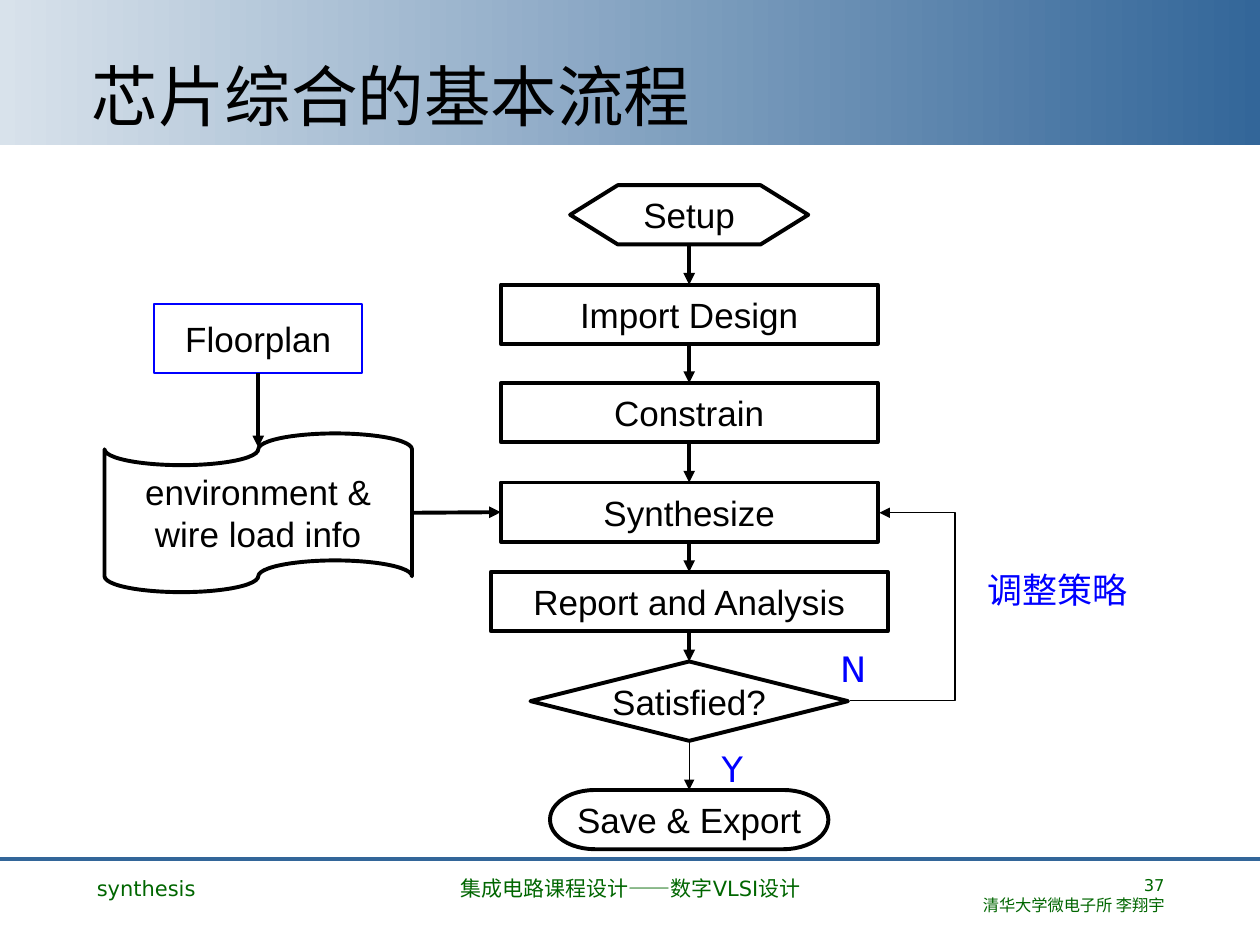
from lxml import etree
from pptx import Presentation
from pptx.dml.color import RGBColor
from pptx.enum.shapes import MSO_CONNECTOR, MSO_SHAPE
from pptx.enum.text import MSO_ANCHOR, PP_ALIGN
from pptx.oxml.ns import qn
from pptx.util import Inches, Pt

RECT = MSO_SHAPE.RECTANGLE
PROCESS = MSO_SHAPE.FLOWCHART_PROCESS
PREPARATION = MSO_SHAPE.FLOWCHART_PREPARATION
DECISION = MSO_SHAPE.FLOWCHART_DECISION
TERMINATOR = MSO_SHAPE.FLOWCHART_TERMINATOR
TAPE = MSO_SHAPE.FLOWCHART_PUNCHED_TAPE
STRAIGHT, ELBOW = MSO_CONNECTOR.STRAIGHT, MSO_CONNECTOR.ELBOW
LEFT, CENTER, RIGHT = PP_ALIGN.LEFT, PP_ALIGN.CENTER, PP_ALIGN.RIGHT
TOP, MIDDLE, BOTTOM = MSO_ANCHOR.TOP, MSO_ANCHOR.MIDDLE, MSO_ANCHOR.BOTTOM
SITE_TOP, SITE_LEFT, SITE_BOTTOM, SITE_RIGHT = range(4)

COLORS = {
    "black": "000000",
    "white": "FFFFFF",
    "blue": "0000FF",
    "green": "006600",
    "pale": "D8E2EB",
    "steel": "336699",
}
COLORS = {name: RGBColor.from_string(value) for name, value in COLORS.items()}


def write(shape, text, size, font, color, align, anchor, wrap):
    frame = shape.text_frame
    frame.word_wrap = wrap
    frame.vertical_anchor = anchor
    frame.text = text
    for para in frame.paragraphs:
        para.alignment = align
        para.font.size = Pt(size)
        para.font.name = font
        para.font.color.rgb = COLORS[color]
        latin = para._p.pPr.find(qn("a:defRPr")).find(qn("a:latin"))
        east_asian = etree.Element(qn("a:ea"), typeface="Noto Sans CJK SC")
        latin.addnext(east_asian)


def connect(kind, start, end, color, width, arrow=True):
    line = page.shapes.add_connector(kind, *(Inches(v) for v in start + end))
    line.line.color.rgb = COLORS[color]
    line.line.width = Pt(width)
    if arrow:
        etree.SubElement(line.line._get_or_add_ln(), qn("a:tailEnd"), type="triangle")
    etree.SubElement(line._element.spPr, qn("a:effectLst"))
    return line


deck = Presentation()
deck.slide_width, deck.slide_height = Inches(10), Inches(7.5)
page = deck.slides.add_slide(deck.slide_layouts[6])

banner = page.shapes.add_shape(RECT, 0, 0, Inches(10), Inches(1.15))
banner.shadow.inherit = False
banner.line.fill.background()
banner.fill.gradient()
banner.fill.gradient_angle = 0
for stop, color in zip(banner.fill.gradient_stops, ("pale", "steel")):
    stop.color.rgb = COLORS[color]
connect(STRAIGHT, (0, 6.82), (10, 6.82), "steel", 2.25, arrow=False)

title = page.shapes.add_textbox(Inches(0.63), Inches(0.33), Inches(8.75), Inches(0.74))
write(title, "芯片综合的基本流程", 38, "DejaVu Sans", "black", LEFT, BOTTOM, True)
title.text_frame.margin_top = title.text_frame.margin_bottom = 0

MAIN_X, SIDE_X = 5.47, 2.05
steps = [
    ("Setup", PREPARATION, MAIN_X, 1.47, 1.89, 0.47, "black", 2.25),
    ("Import Design", PROCESS, MAIN_X, 2.26, 2.99, 0.47, "black", 2.25),
    ("Constrain", PROCESS, MAIN_X, 3.04, 2.99, 0.47, "black", 2.25),
    ("Synthesize", PROCESS, MAIN_X, 3.83, 2.99, 0.47, "black", 2.25),
    ("Report and Analysis", PROCESS, MAIN_X, 4.54, 3.15, 0.47, "black", 2.25),
    ("Satisfied?", DECISION, MAIN_X, 5.25, 2.52, 0.63, "black", 2.25),
    ("Save & Export", TERMINATOR, MAIN_X, 6.27, 2.21, 0.47, "black", 2.25),
    ("environment &\nwire load info", TAPE, SIDE_X, 3.44, 2.44, 1.26, "black", 2.25),
    ("Floorplan", PROCESS, SIDE_X, 2.41, 1.65, 0.55, "blue", 1),
]
boxes = []
for text, kind, center, top, width, height, color, weight in steps:
    box = page.shapes.add_shape(
        kind, Inches(center - width / 2), Inches(top), Inches(width), Inches(height)
    )
    box.shadow.inherit = False
    box.fill.solid()
    box.fill.fore_color.rgb = COLORS["white"]
    box.line.color.rgb = COLORS[color]
    box.line.width = Pt(weight)
    write(box, text, 20, "Arial", "black", CENTER, MIDDLE, False)
    boxes.append(box)

main_flow = boxes[:7]
synthesize, satisfied = boxes[3], boxes[5]
environment, floorplan = boxes[7:]

for upper, lower in zip(main_flow, main_flow[1:]):
    weight = 0.75 if upper is satisfied else 2.25
    arrow = connect(STRAIGHT, (MAIN_X, 0), (MAIN_X, 1), "black", weight)
    arrow.begin_connect(upper, SITE_BOTTOM)
    arrow.end_connect(lower, SITE_TOP)

load_arrow = connect(STRAIGHT, (3.28, 4.07), (3.96, 4.07), "black", 2.25)
load_arrow.begin_connect(environment, SITE_RIGHT)
load_arrow.end_connect(synthesize, SITE_LEFT)

floorplan_arrow = connect(STRAIGHT, (SIDE_X, 2.96), (SIDE_X, 3.55), "black", 2.25)
floorplan_arrow.begin_connect(floorplan, SITE_BOTTOM)

retry = connect(ELBOW, (6.75, 5.56), (6.98, 4.07), "black", 0.75)
bend = round((7.58 - 6.75) / (6.98 - 6.75) * 100000)
adjustments = retry._element.spPr.find(qn("a:prstGeom")).find(qn("a:avLst"))
etree.SubElement(adjustments, qn("a:gd"), name="adj1", fmla=f"val {bend}")

labels = [
    ("Y", 5.63, 5.88, 0.63, 0.44, 20, "DejaVu Sans", "blue", LEFT),
    ("调整策略", 7.74, 4.46, 1.44, 0.44, 20, "Noto Sans CJK SC", "blue", LEFT),
    ("N", 6.57, 5.09, 0.79, 0.44, 20, "DejaVu Sans", "blue", LEFT),
    ("synthesis", 0.67, 6.9, 2.17, 0.45, 12, "DejaVu Sans", "green", LEFT),
    ("37\n清华大学微电子所 李翔宇", 7.17, 6.9, 2.17, 0.45, 9.3, "DejaVu Sans", "green", RIGHT),
    ("集成电路课程设计——数字VLSI设计", 3.42, 6.9, 3.17, 0.45, 12, "DejaVu Sans", "green", CENTER),
]
for text, left, top, width, height, size, font, color, align in labels:
    label = page.shapes.add_textbox(Inches(left), Inches(top), Inches(width), Inches(height))
    write(label, text, size, font, color, align, TOP, True)

deck.save("out.pptx")
